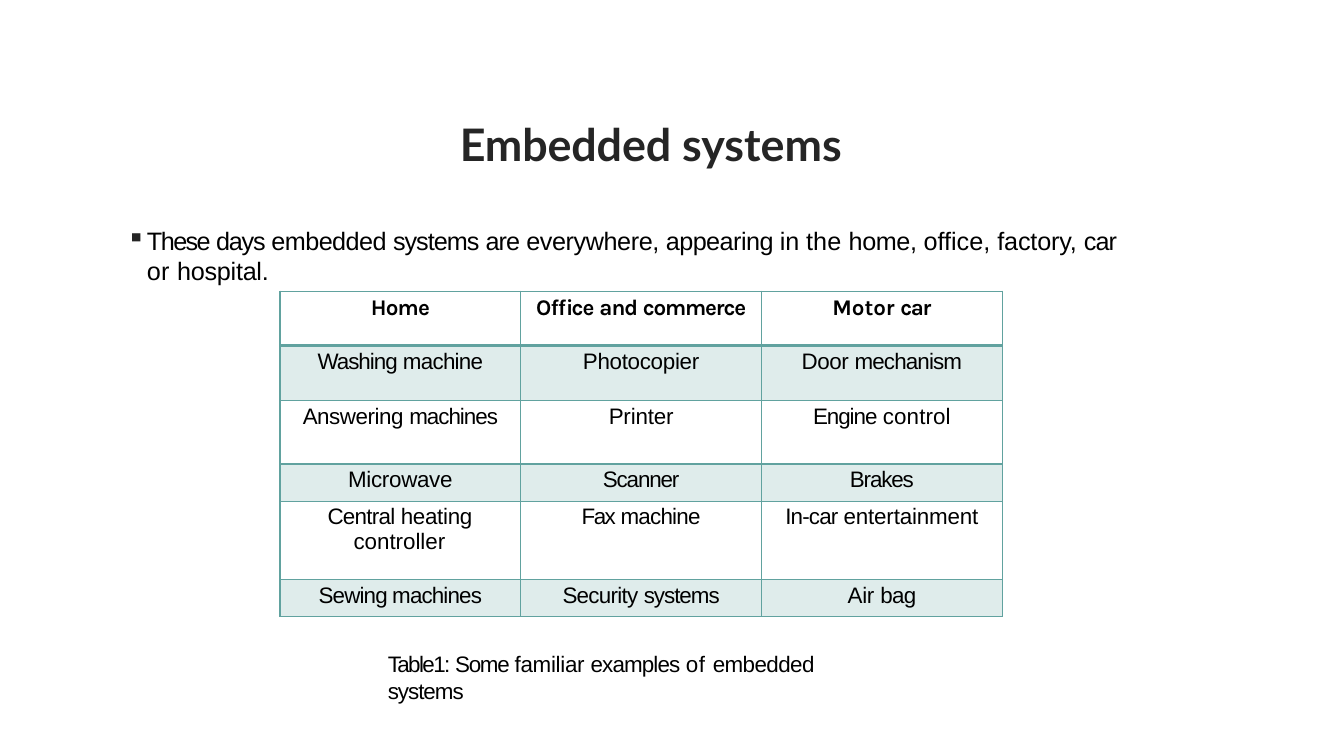
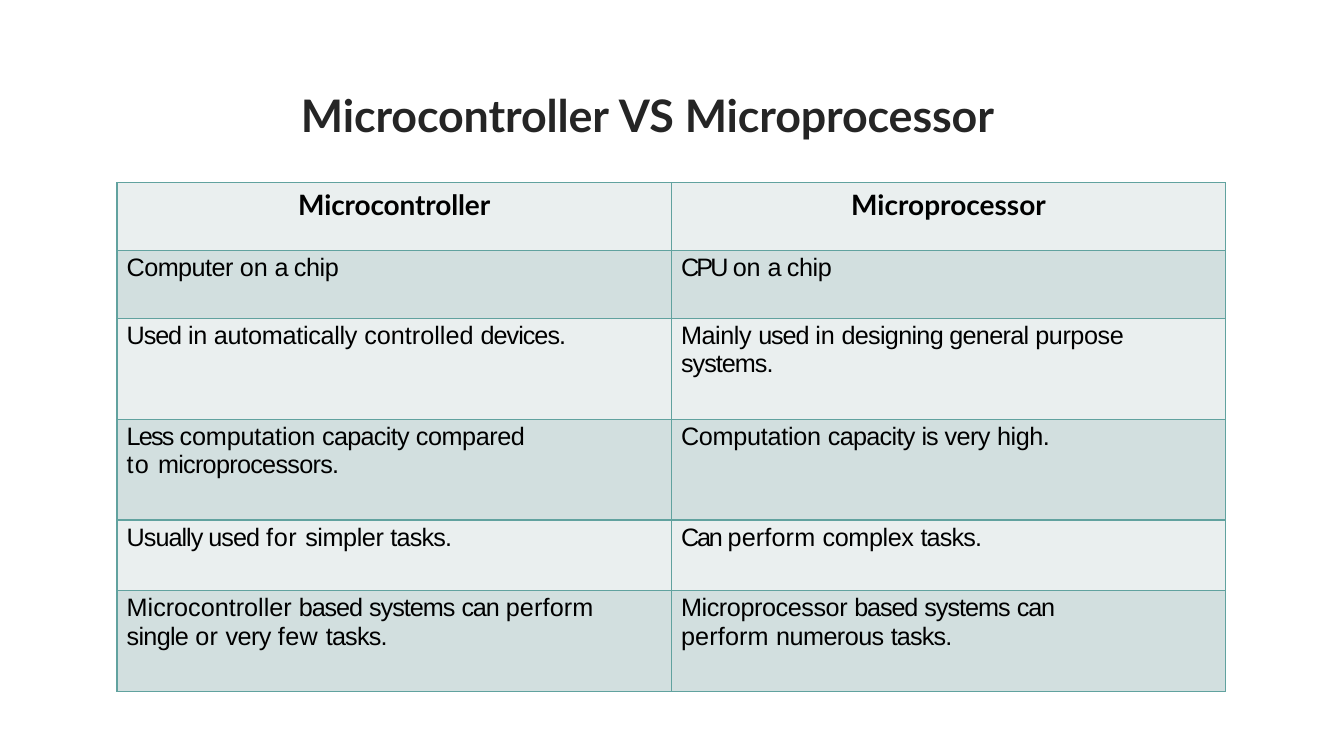
from lxml.etree import SubElement
from pptx import Presentation
from pptx.dml.color import RGBColor as Color
from pptx.enum.text import MSO_AUTO_SIZE as Fit, PP_ALIGN as Align
from pptx.oxml.ns import qn
from pptx.util import Pt

WHITE = RGB_WHITE = Color(0xFF, 0xFF, 0xFF)
BLACK = Color(0x00, 0x00, 0x00)
INK = Color(0x25, 0x25, 0x25)
TEAL = Color(0x61, 0xA2, 0x9F)
MINT = Color(0xDF, 0xEC, 0xEB)
PALE = Color(0xEA, 0xEF, 0xEF)
SAGE = Color(0xD2, 0xDF, 0xDF)

TITLE = ("Lato", 32, INK, True)
BODY = ("Arial", 18, BLACK, False)
SMALL = ("Arial", 16, BLACK, False)
BREAK = ("\n", 0)

LEAD = [("These ", -1.1), ("days ", -0.9), ("embedded ", -0.4),
        ("systems ", -0.7), ("are ", -0.6), ("everywhere, ", -0.3),
        ("appearing ", -0.4), ("in ", -0.2), ("the ", 0.1),
        ("home, ", -0.3), ("office, ", 0), ("factory, ", -0.1),
        ("car ", -0.6), ("or ", 0.2), ("hospital.", -0.2)]

NOTE = [("Table1: ", -1.1), ("Some ", -0.9), ("familiar ", -0.2),
        ("examples ", -0.6), ("of ", 0.5), ("embedded ", -0.4),
        ("systems", -0.7)]

USES = [
    [[("Home", -0.6)],
     [("Office ", -0.6), ("and ", -0.7), ("commerce", -0.8)],
     [("Motor ", 0), ("car", -0.9)]],
    [[("Washing ", -0.7), ("machine", -0.5)],
     [("Photocopier", -0.2)],
     [("Door ", -0.3), ("mechanism", -0.6)]],
    [[("Answering ", -0.3), ("machines", -0.7)],
     [("Printer", -0.1)],
     [("Engine ", -0.7), ("control", 0.1)]],
    [[("Microwave", -0.2)], [("Scanner", -0.8)], [("Brakes", -0.8)]],
    [[("Central ", -0.5), ("heating ", -0.2), ("controller", 0)],
     [("Fax ", -1.1), ("machine", -0.5)],
     [("In-car ", -0.6), ("entertainment", -0.1)]],
    [[("Sewing machines", -0.6)],
     [("Security ", -0.5), ("systems", -0.7)],
     [("Air ", -0.2), ("bag", -0.5)]],
]

CHIPS = [
    [[("Microcontroller", -0.1)], [("Microprocessor", 0)]],
    [[("Computer ", -0.4), ("on ", -0.1), ("a ", -1.2), ("chip", -0.3)],
     [("CPU ", -2), ("on ", -0.1), ("a ", -1.2), ("chip", -0.3)]],
    [[("Used ", -0.8), ("in automatically ", -0.2), ("controlled ", 0),
      ("devices.", -0.7)],
     [("Mainly ", -0.3), ("used ", -0.8), ("in ", -0.2),
      ("designing general ", -0.5), ("purpose", -0.3), BREAK,
      ("systems.", -0.7)]],
    [[("Less ", -1.3), ("computation ", -0.1), ("capacity ", -0.5),
      ("compared", -0.3), BREAK, ("to ", 0.8), ("microprocessors.", -0.5)],
     [("Computation ", -0.2), ("capacity ", -0.5), ("is ", -0.8),
      ("very ", -0.4), ("high.", -0.3)]],
    [[("Usually used ", -0.7), ("for ", 0.5), ("simpler ", -0.3),
      ("tasks.", -0.6)],
     [("Can ", -1.6), ("perform ", 0.1), ("complex ", -0.3),
      ("tasks.", -0.6)]],
    [[("Microcontroller ", 0), ("based ", -0.8), ("systems ", -0.7),
      ("can ", -0.8), ("perform", 0.1), BREAK, ("single ", -0.5),
      ("or ", 0.2), ("very ", -0.4), ("few ", 0.3), ("tasks.", -0.6)],
     [("Microprocessor ", -0.3), ("based ", -0.8), ("systems ", -0.7),
      ("can", -0.8), BREAK, ("perform ", 0.1), ("numerous ", -0.4),
      ("tasks.", -0.6)]],
]


def add_runs(para, runs, style):
    face, size, color, bold = style
    for text, gap in runs:
        if text == "\n":
            para.add_line_break()
            continue
        run = para.add_run()
        run.text = text
        font = run.font
        font.name, font.size, font.bold = face, Pt(size), bold
        font.color.rgb = color
        run._r.get_or_add_rPr().set("spc", str(round(gap * 100)))


def set_indent(para, left, first=0):
    props = para._p.get_or_add_pPr()
    props.set("marL", str(Pt(left)))
    props.set("indent", str(Pt(first)))
    return props


def add_bullet(para, left, first):
    props = set_indent(para, left, first)
    tint = SubElement(props, qn("a:buClr"))
    SubElement(tint, qn("a:srgbClr"), val=str(INK))
    SubElement(props, qn("a:buChar"), char="▪")
    tabs = SubElement(props, qn("a:tabLst"))
    SubElement(tabs, qn("a:tab"), pos=str(Pt(left)), algn="l")


def add_text(slide, area, runs, style, bullet=False):
    frame = slide.shapes.add_textbox(*map(Pt, area)).text_frame
    frame.word_wrap = True
    frame.auto_size = Fit.SHAPE_TO_FIT_TEXT
    frame.margin_left = frame.margin_right = frame.margin_bottom = 0
    frame.margin_top = Pt(1)
    para = frame.paragraphs[0]
    if bullet:
        add_bullet(para, 15, -14.4)
    else:
        set_indent(para, 1)
    add_runs(para, runs, style)


def set_edge(cell, side, width):
    props = cell._tc.get_or_add_tcPr()
    line = SubElement(props, qn("a:" + side), w=str(Pt(width)))
    fill = SubElement(line, qn("a:solidFill"))
    SubElement(fill, qn("a:srgbClr"), val=str(TEAL))


def add_grid(slide, left, top, wide, highs, data, head, body, fills,
             insets, indent=None, rule=1):
    count = len(data[0])
    frame = slide.shapes.add_table(len(data), count, Pt(left), Pt(top),
                                   Pt(wide * count), Pt(sum(highs)))
    table = frame.table
    table.first_row = table.horz_banding = False
    for col in table.columns:
        col.width = Pt(wide)
    for y, cells in enumerate(data):
        table.rows[y].height = Pt(highs[y])
        for x, runs in enumerate(cells):
            cell = table.cell(y, x)
            cell.margin_left = cell.margin_right = cell.margin_bottom = 0
            cell.margin_top = Pt(insets[y > 0])
            for side in ("lnL", "lnR", "lnT", "lnB"):
                thick = (y, side) in ((0, "lnB"), (1, "lnT"))
                set_edge(cell, side, rule if thick else 1)
            cell.fill.solid()
            cell.fill.fore_color.rgb = fills[y % 2]
            para = cell.text_frame.paragraphs[0]
            if y and indent is not None:
                set_indent(para, indent)
            else:
                para.alignment = Align.CENTER
            add_runs(para, runs, body if y else head)
    return table


def add_uses(slide):
    add_text(slide, (327.5, 82, 304.5, 40),
             [("Embedded ", -0.1), ("systems", 0)], TITLE)
    add_text(slide, (90, 160, 720, 45), LEAD, BODY, bullet=True)
    table = add_grid(slide, 200, 208, 172, (39, 39, 45.5, 26.5, 56, 26.5),
                     USES, ("Karla", 16, BLACK, True), SMALL,
                     (WHITE, MINT), (2.6, 2.6), rule=2.25)
    para = table.cell(4, 0).text_frame.paragraphs[0]
    para.alignment = Align.LEFT
    set_indent(para, 52.5, -18.5)
    add_text(slide, (276, 463.5, 360, 21), NOTE, SMALL)


def add_chips(slide):
    add_text(slide, (214, 62, 533, 40),
             [("Microcontroller ", -0.1), ("VS ", 0),
              ("Microprocessor", -0.1)], TITLE)
    add_grid(slide, 83.5, 130.5, 396, (48.5, 48.5, 72, 72, 50.5, 72),
             CHIPS, ("Lato", 20, BLACK, True), BODY,
             (PALE, SAGE), (3.3, 2.4), indent=7)


def main():
    deck = Presentation()
    deck.slide_width, deck.slide_height = Pt(960), Pt(540)
    for build in (add_uses, add_chips):
        build(deck.slides.add_slide(deck.slide_layouts[6]))
    deck.save("out.pptx")


if __name__ == "__main__":
    main()
